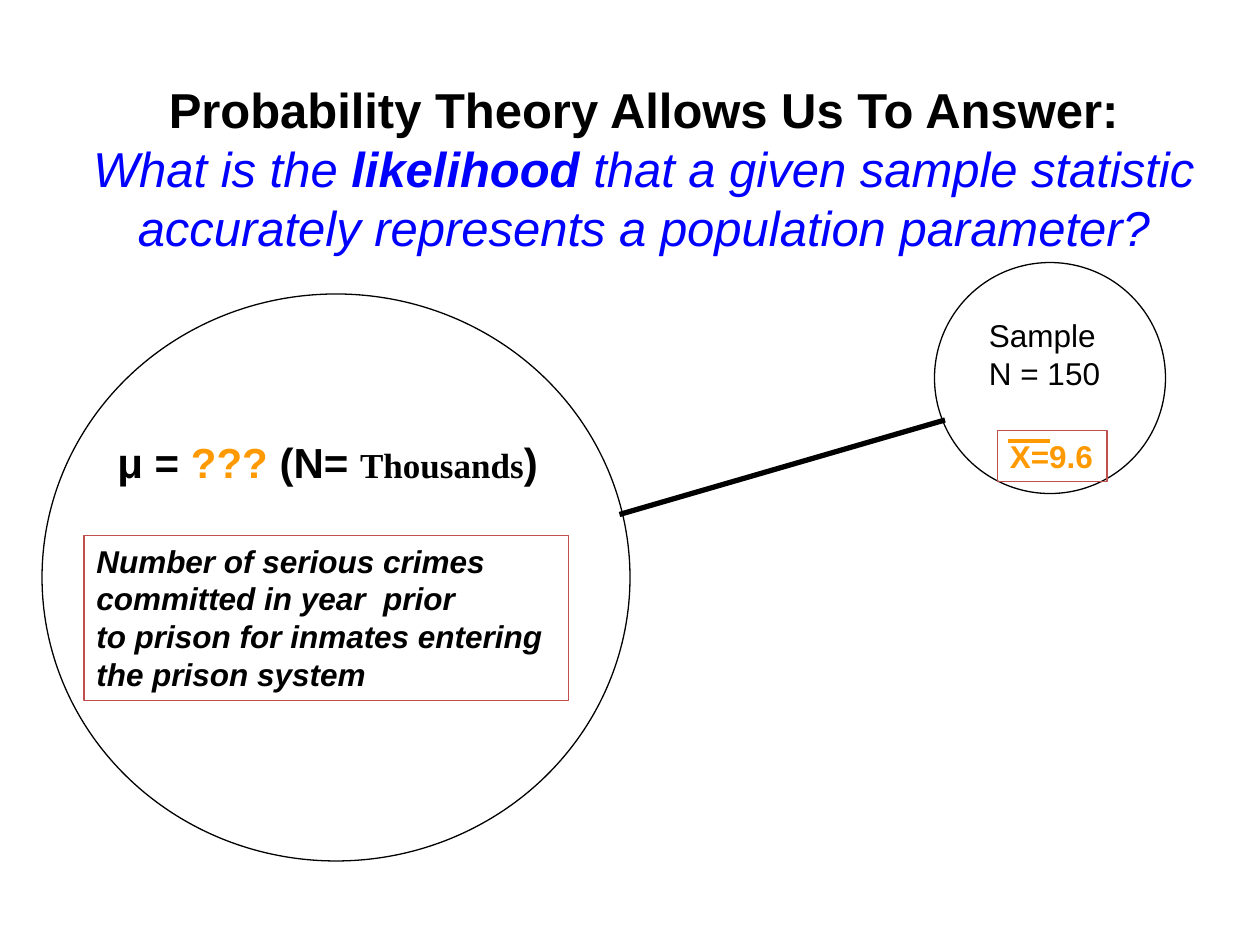
from dataclasses import dataclass

import lxml.etree
import pptx
import pptx.dml.color
import pptx.enum.shapes
import pptx.enum.text
import pptx.oxml.ns
import pptx.util

Pt = pptx.util.Pt
SHAPES = pptx.enum.shapes.MSO_SHAPE
ALIGN = pptx.enum.text.PP_ALIGN
BLACK, BLUE, ORANGE, RED = "000000", "0000FF", "FF9900", "C0504D"


@dataclass
class Span:
    text: str
    size: float
    color: str = BLACK
    bold: bool = False
    italic: bool = False
    font: str = "Arial"


@dataclass
class Box:
    left: float
    top: float
    width: float
    height: float

    def lengths(self) -> list:
        return [Pt(v) for v in (self.left, self.top, self.width, self.height)]


@dataclass
class TextBlock:
    box: Box
    paragraphs: list[list[Span]]
    framed: bool = False
    wrap: bool = False


@dataclass
class Stroke:
    start: tuple[float, float]
    end: tuple[float, float]
    color: str
    weight: float


def rgb(color: str) -> pptx.dml.color.RGBColor:
    return pptx.dml.color.RGBColor.from_string(color)


def draw_outline(slide, kind, box: Box, color: str):
    outline = slide.shapes.add_shape(kind, *box.lengths())
    outline.shadow.inherit = False
    outline.fill.background()
    outline.line.color.rgb = rgb(color)
    outline.line.width = Pt(0.75)
    return outline


def write(frame, paragraphs: list[list[Span]], align, wrap: bool) -> None:
    frame.word_wrap = wrap
    frame.auto_size = pptx.enum.text.MSO_AUTO_SIZE.SHAPE_TO_FIT_TEXT
    frame.vertical_anchor = pptx.enum.text.MSO_ANCHOR.TOP
    for index, spans in enumerate(paragraphs):
        paragraph = frame.add_paragraph() if index else frame.paragraphs[0]
        paragraph.alignment = align
        for span in spans:
            run = paragraph.add_run() if len(spans) > 1 else None
            if run is None:
                paragraph.text = span.text
            else:
                run.text = span.text
            for piece in [run] if run is not None else paragraph.runs:
                piece.font.name = span.font
                piece.font.size = Pt(span.size)
                piece.font.bold = span.bold
                piece.font.italic = span.italic
                piece.font.color.rgb = rgb(span.color)


def draw_text(slide, block: TextBlock) -> None:
    if block.framed:
        holder = draw_outline(slide, SHAPES.RECTANGLE, block.box, RED)
    else:
        holder = slide.shapes.add_textbox(*block.box.lengths())
    write(holder.text_frame, block.paragraphs, ALIGN.LEFT, block.wrap)


def draw_stroke(slide, stroke: Stroke) -> None:
    ends = [Pt(v) for v in (*stroke.start, *stroke.end)]
    connector = slide.shapes.add_connector(
        pptx.enum.shapes.MSO_CONNECTOR.STRAIGHT, *ends)
    connector.line.color.rgb = rgb(stroke.color)
    connector.line.width = Pt(stroke.weight)
    lxml.etree.SubElement(
        connector.element.spPr, pptx.oxml.ns.qn("a:effectLst"))


QUESTION = [
    [Span("Probability Theory Allows Us To Answer:", 28, bold=True)],
    [Span("What is the ", 28, BLUE, italic=True),
     Span("likelihood ", 28, BLUE, bold=True, italic=True),
     Span("that a given sample statistic", 28, BLUE, italic=True)],
    [Span("accurately represents a population parameter?", 28, BLUE,
          italic=True)],
]
POPULATION = Box(24, 168, 336, 324)
SAMPLE = Box(534, 150, 132, 132)
BLOCKS = [
    TextBlock(Box(60, 246, 263.5, 36.4), [[
        Span("μ = ", 24, bold=True),
        Span("???", 24, ORANGE, bold=True),
        Span(" (N= ", 24, bold=True),
        Span("Thousands", 20, bold=True, font="Times New Roman"),
        Span(")", 24, bold=True)]]),
    TextBlock(Box(558, 177, 90, 51), [[Span("Sample\vN = 150", 18)]],
              wrap=True),
    TextBlock(Box(570, 246, 62.6, 29), [[Span("X=9.6", 18, ORANGE, bold=True)]],
              framed=True),
    TextBlock(Box(48, 306, 277, 94.4), [[Span(
        "Number of serious crimes \vcommitted in year  prior\v"
        "to prison for inmates entering \vthe prison system",
        18, bold=True, italic=True)]], framed=True),
]
STROKES = [
    Stroke((540, 240), (354, 294), BLACK, 3),
    Stroke((600, 252), (576, 252), ORANGE, 2.25),
]

deck = pptx.Presentation()
deck.slide_width, deck.slide_height = Pt(720), Pt(540)
slide = deck.slides.add_slide(deck.slide_layouts[5])

title = slide.shapes.title
title.left, title.top, title.width, title.height = Box(
    42, 42, 651.6, 108.7).lengths()
write(title.text_frame, QUESTION, ALIGN.CENTER, False)

for circle in (POPULATION, SAMPLE):
    draw_outline(slide, SHAPES.OVAL, circle, BLACK)
for block in BLOCKS:
    draw_text(slide, block)
for stroke in STROKES:
    draw_stroke(slide, stroke)

deck.save("out.pptx")
